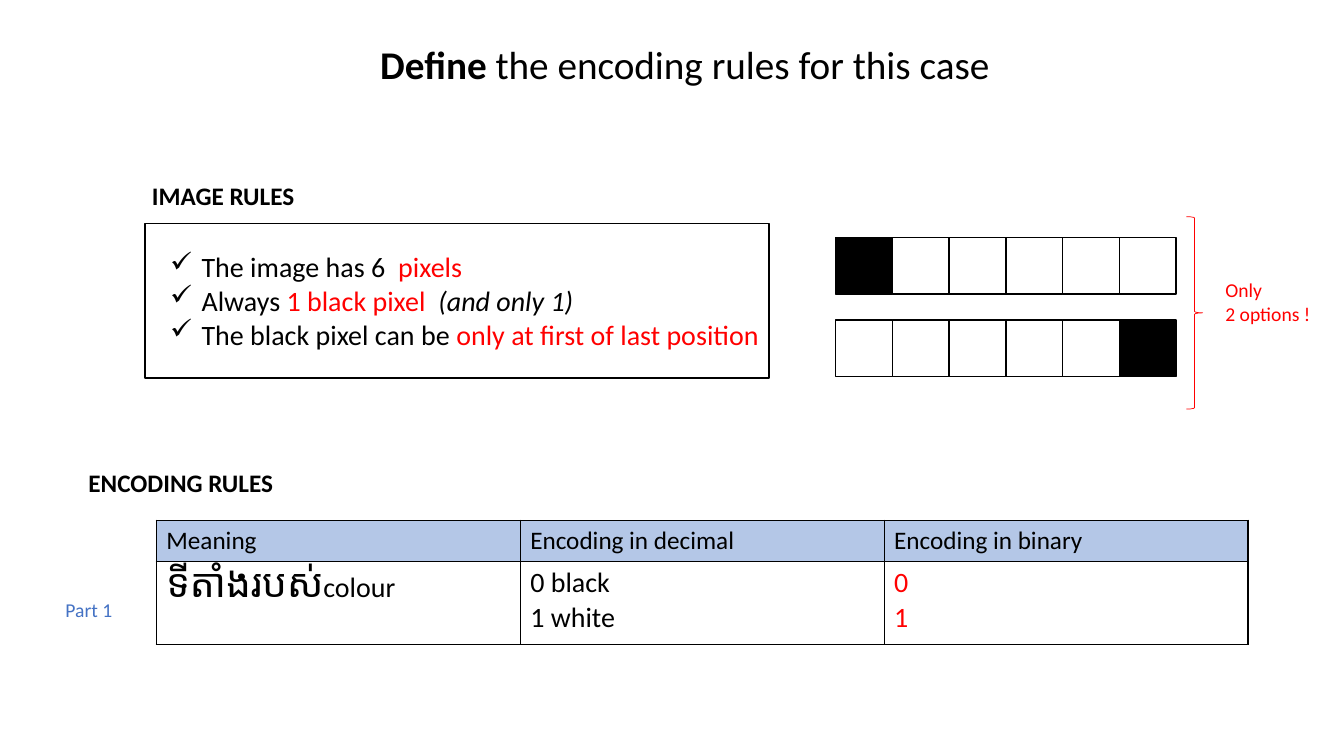
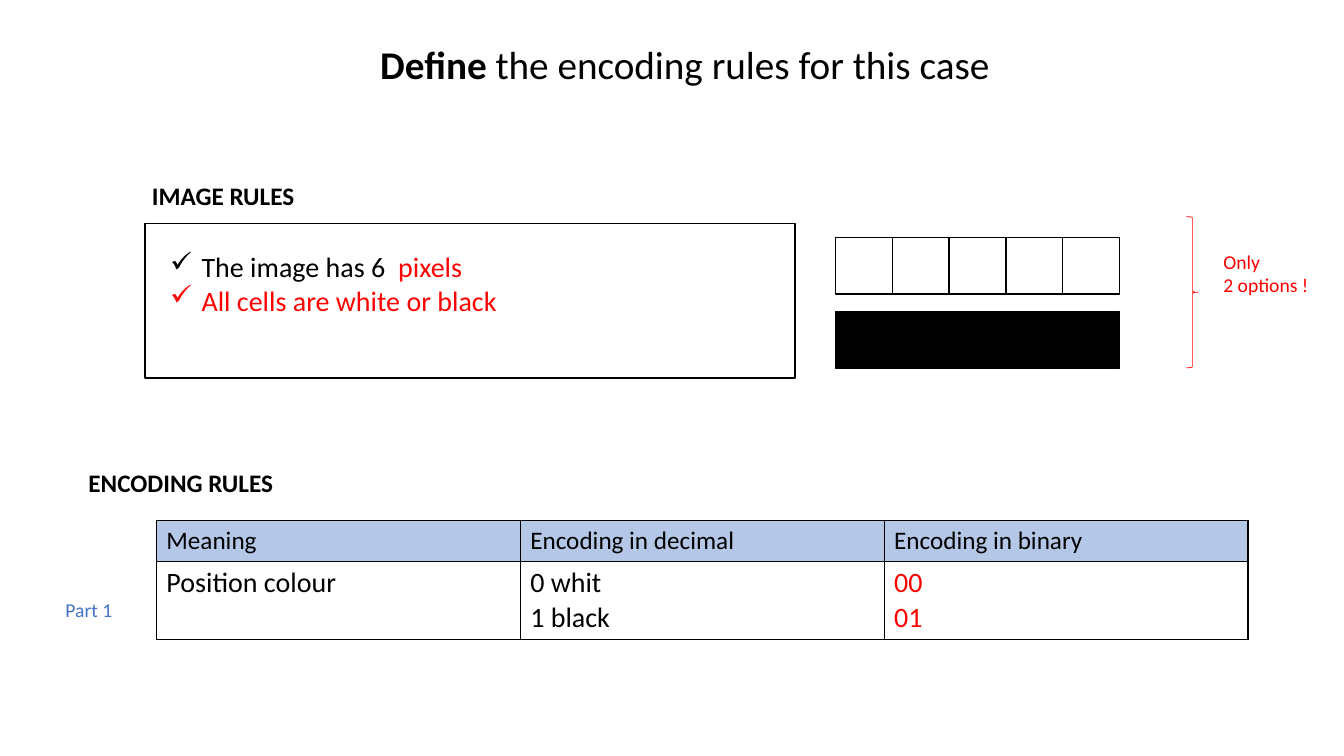
import dataclasses

import lxml.etree
import pptx
import pptx.dml.color
import pptx.enum.shapes
import pptx.enum.text
import pptx.oxml.ns
import pptx.util

Cm = pptx.util.Cm
Pt = pptx.util.Pt
qn = pptx.oxml.ns.qn
Shape = pptx.enum.shapes.MSO_SHAPE
Align = pptx.enum.text.PP_ALIGN


# Colours and type sizes
@dataclasses.dataclass(frozen=True)
class Theme:
    font: str = "Calibri"
    black: str = "000000"
    white: str = "FFFFFF"
    red: str = "FF0000"
    blue: str = "4472C4"
    band: str = "B4C7E7"
    title: int = 28
    body: int = 20
    head: int = 18
    note: int = 14


THEME = Theme()
RED = {"color": THEME.red}


def rgb(code):
    return pptx.dml.color.RGBColor.from_string(code)


# Text: each line is a string or a list of runs; a run is a string or (string, format)
def write(frame, lines, size=THEME.body, color=THEME.black, bold=False,
          align=Align.LEFT, bullet=None):
    for index, line in enumerate(lines):
        para = frame.paragraphs[0] if index == 0 else frame.add_paragraph()
        para.alignment = align
        if bullet:
            props = para._p.get_or_add_pPr()
            props.set("marL", str(Cm(0.79)))
            props.set("indent", str(-Cm(0.79)))
            lxml.etree.SubElement(props, qn("a:buChar"), char=bullet)
        for part in [line] if isinstance(line, str) else line:
            text, extra = (part, {}) if isinstance(part, str) else part
            run = para.add_run()
            run.text = text
            run.font.name = THEME.font
            run.font.size = Pt(extra.get("size", size))
            run.font.bold = extra.get("bold", bold)
            run.font.italic = extra.get("italic", False)
            run.font.color.rgb = rgb(extra.get("color", color))


def label(slide, left, top, width, height, lines, wrap=False, **style):
    box = slide.shapes.add_textbox(Cm(left), Cm(top), Cm(width), Cm(height))
    box.text_frame.word_wrap = wrap
    box.text_frame.auto_size = pptx.enum.text.MSO_AUTO_SIZE.SHAPE_TO_FIT_TEXT
    write(box.text_frame, lines, **style)


# Outlined shapes
def draw(slide, kind, left, top, width, height, fill=None,
         line=THEME.black, weight=1):
    shape = slide.shapes.add_shape(kind, Cm(left), Cm(top), Cm(width), Cm(height))
    shape.shadow.inherit = False
    if fill:
        shape.fill.solid()
        shape.fill.fore_color.rgb = rgb(fill)
    else:
        shape.fill.background()
    shape.line.color.rgb = rgb(line)
    shape.line.width = Pt(weight)


# A row of pixels: "#" is black, "." is white
def pixels(slide, top, code):
    side = 1.43
    for index, mark in enumerate(code):
        fill = THEME.black if mark == "#" else THEME.white
        draw(slide, Shape.RECTANGLE, 21.06 + index * side, top, side, side, fill)


# Table with thin black rules
def border(cell):
    props = cell._tc.get_or_add_tcPr()
    for side in ("lnL", "lnR", "lnT", "lnB"):
        edge = lxml.etree.SubElement(props, qn("a:" + side), w=str(Pt(1)))
        fill = lxml.etree.SubElement(edge, qn("a:solidFill"))
        lxml.etree.SubElement(fill, qn("a:srgbClr"), val=THEME.black)


def table(slide, cells, height):
    heads = ["Meaning", "Encoding in decimal", "Encoding in binary"]
    top = 1.03
    grid = slide.shapes.add_table(2, 3, Cm(3.94), Cm(13.11),
                                  Cm(27.51), Cm(top + height)).table
    grid.first_row = grid.horz_banding = False
    grid.rows[0].height, grid.rows[1].height = Cm(top), Cm(height)
    for index, (head, lines) in enumerate(zip(heads, cells)):
        upper, lower = grid.cell(0, index), grid.cell(1, index)
        border(upper)
        border(lower)
        upper.fill.solid()
        upper.fill.fore_color.rgb = rgb(THEME.band)
        lower.fill.background()
        write(upper.text_frame, [head], size=THEME.head)
        write(lower.text_frame, lines,
              color=THEME.red if index == 2 else THEME.black)


# Title and headings that every slide has
def base(deck):
    slide = deck.slides.add_slide(deck.slide_layouts[6])
    label(slide, 7.62, 0.89, 19.28, 1.45,
          [[("Define", {"bold": True}), " the encoding rules for this case"]],
          wrap=True, size=THEME.title, align=Align.CENTER)
    label(slide, 3.58, 4.42, 4.14, 1.02, ["IMAGE RULES"], size=THEME.head, bold=True)
    label(slide, 1.98, 11.66, 5.23, 1.02, ["ENCODING RULES"],
          size=THEME.head, bold=True)
    label(slide, 1.4, 14.94, 1.7, 0.86, ["Part 1"], size=THEME.note, color=THEME.blue)
    return slide


# Boxed rules: size is the width and height of the text
def rules(slide, width, size, lines):
    draw(slide, Shape.RECTANGLE, 3.66, 5.64, width, 3.89)
    label(slide, 4.04, 6.17, *size, lines, bullet="✓")


# Brace with its remark
def brace(slide, width, height, left, top):
    draw(slide, Shape.RIGHT_BRACE, 29.9, 5.46, width, height,
         line=THEME.red, weight=0.5)
    label(slide, left, top, 2.67, 1.45, ["Only", "2 options !"],
          size=THEME.note, color=THEME.red)


def main():
    deck = pptx.Presentation()
    deck.slide_width, deck.slide_height = Cm(33.87), Cm(19.05)
    first = ["The image has 6  ", ("pixels", RED)]

    # One black pixel, at either end
    slide = base(deck)
    rules(slide, 15.72, (15.49, 2.82), [
        first,
        ["Always ", ("1 black pixel  ", RED), ("(and only 1)", {"italic": True})],
        ["The black pixel can be ", ("only at first of last position", RED)],
    ])
    pixels(slide, 5.98, "#.....")
    pixels(slide, 8.06, ".....#")
    brace(slide, 0.41, 4.85, 30.63, 6.88)
    table(slide, [[[("ទីតាំងរបស់", {"size": THEME.title}), "colour"]],
                  ["0 black", "1 white"], ["0", "1"]], 2.11)

    # All cells of one colour
    slide = base(deck)
    rules(slide, 16.38, (8.84, 1.96),
          [first, [("All cells are white or black", RED)]])
    pixels(slide, 5.98, ".....")
    pixels(slide, 7.85, "#####")
    brace(slide, 0.3, 3.81, 30.58, 6.17)
    table(slide, [["Position colour"], ["0 whit", "1 black"], ["00", "01"]], 1.98)

    deck.save("out.pptx")


if __name__ == "__main__":
    main()
